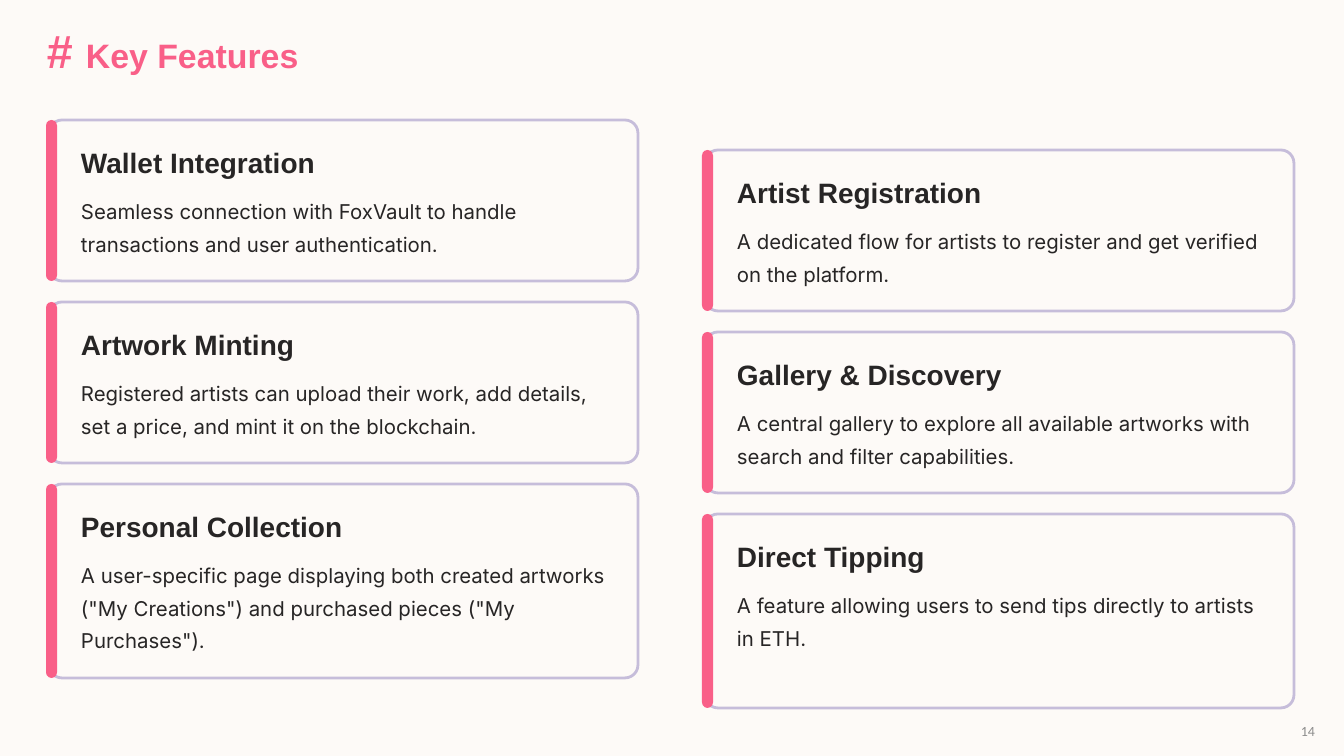
from dataclasses import dataclass

from pptx import Presentation
from pptx.dml.color import RGBColor
from pptx.enum.shapes import MSO_SHAPE
from pptx.enum.text import MSO_ANCHOR, MSO_AUTO_SIZE, PP_ALIGN
from pptx.shapes.autoshape import Shape
from pptx.slide import Slide
from pptx.text.text import TextFrame
from pptx.util import Emu, Pt

PX_PER_INCH = 84


def px(n: int) -> Emu:
    return Emu(round(n * 914400 / PX_PER_INCH))


@dataclass(frozen=True)
class Style:
    font: str
    size: float
    color: RGBColor
    bold: bool = False
    leading: float | None = None
    align: PP_ALIGN = PP_ALIGN.LEFT


@dataclass(frozen=True)
class Theme:
    background: RGBColor = RGBColor.from_string("FDFAF7")
    accent: RGBColor = RGBColor.from_string("F95F88")
    border: RGBColor = RGBColor.from_string("C6BDDA")
    ink: RGBColor = RGBColor.from_string("272525")
    muted: RGBColor = RGBColor.from_string("8C8C8C")
    hash_size: float = 40
    border_width: float = 2.4

    @property
    def title(self) -> Style:
        return Style("Arial", 29, self.accent, True, 36.5)

    @property
    def heading(self) -> Style:
        return Style("Arial", 24, self.ink, True, 30)

    @property
    def body(self) -> Style:
        return Style("Inter", 17.5, self.ink, leading=28)

    @property
    def page(self) -> Style:
        return Style("Calibri", 12, self.muted, align=PP_ALIGN.RIGHT)


@dataclass(frozen=True)
class Box:
    x: int
    y: int
    w: int
    h: int

    def emu(self) -> tuple[Emu, Emu, Emu, Emu]:
        return px(self.x), px(self.y), px(self.w), px(self.h)


@dataclass(frozen=True)
class Feature:
    heading: str
    body: str


@dataclass(frozen=True)
class Column:
    x: int
    y: int
    features: tuple[Feature, ...]


THEME = Theme()
CARD_HEIGHTS = (161, 161, 194)
CARD_GAP = 21
CORNER = 13

COLUMNS = (
    Column(46, 120, (
        Feature("Wallet Integration",
                "Seamless connection with FoxVault to handle transactions and user authentication."),
        Feature("Artwork Minting",
                "Registered artists can upload their work, add details, set a price, "
                "and mint it on the blockchain."),
        Feature("Personal Collection",
                "A user-specific page displaying both created artworks "
                '("My Creations") and purchased pieces ("My Purchases").'),
    )),
    Column(702, 150, (
        Feature("Artist Registration",
                "A dedicated flow for artists to register and get verified on the platform."),
        Feature("Gallery & Discovery",
                "A central gallery to explore all available artworks with search "
                "and filter capabilities."),
        Feature("Direct Tipping",
                "A feature allowing users to send tips directly to artists in ETH."),
    )),
)


def format_text(tf: TextFrame, style: Style, wrap: bool, anchor: MSO_ANCHOR) -> None:
    tf.margin_left = tf.margin_right = tf.margin_top = tf.margin_bottom = 0
    tf.auto_size = MSO_AUTO_SIZE.NONE
    tf.word_wrap = wrap
    tf.vertical_anchor = anchor
    p = tf.paragraphs[0]
    p.alignment = style.align
    if style.leading:
        p.line_spacing = Pt(style.leading)
    p.font.name = style.font
    p.font.size = Pt(style.size)
    p.font.bold = style.bold
    p.font.color.rgb = style.color


def add_text(s: Slide, box: Box, text: str, style: Style, wrap: bool = True,
             anchor: MSO_ANCHOR = MSO_ANCHOR.TOP) -> None:
    tf = s.shapes.add_textbox(*box.emu()).text_frame
    tf.text = text
    format_text(tf, style, wrap, anchor)


def add_rounded(s: Slide, box: Box, radius: float) -> Shape:
    sp = s.shapes.add_shape(MSO_SHAPE.ROUNDED_RECTANGLE, *box.emu())
    sp.adjustments[0] = radius / min(box.w, box.h)
    sp.shadow.inherit = False
    return sp


def add_title(s: Slide) -> None:
    sp = s.shapes.title
    sp.left, sp.top, sp.width, sp.height = Box(47, 35, 342, 43).emu()
    p = sp.text_frame.paragraphs[0]
    r = p.add_run()
    r.text = "# "
    r.font.size = Pt(THEME.hash_size)
    p.add_run().text = "Key Features"
    format_text(sp.text_frame, THEME.title, False, MSO_ANCHOR.TOP)


def add_card(s: Slide, x: int, y: int, h: int, feature: Feature) -> None:
    # Outline
    frame = add_rounded(s, Box(x + 3, y, 589, h), CORNER)
    frame.fill.background()
    frame.line.color.rgb = THEME.border
    frame.line.width = Pt(THEME.border_width)

    # Accent bar
    bar = Box(x, y, 11, h)
    sp = add_rounded(s, bar, bar.w / 2)
    sp.fill.solid()
    sp.fill.fore_color.rgb = THEME.accent
    sp.line.fill.background()

    # Text
    add_text(s, Box(x + 35, y + 24, 285, 35), feature.heading, THEME.heading, wrap=False)
    add_text(s, Box(x + 35, y + 71, 533, h - 95), feature.body, THEME.body)


def main() -> None:
    prs = Presentation()
    prs.slide_width, prs.slide_height = px(1344), px(756)
    s = prs.slides.add_slide(prs.slide_layouts.get_by_name("Title Only"))
    s.background.fill.solid()
    s.background.fill.fore_color.rgb = THEME.background

    add_title(s)

    # Feature cards
    for column in COLUMNS:
        y = column.y
        for feature, h in zip(column.features, CARD_HEIGHTS):
            add_card(s, column.x, y, h, feature)
            y += h + CARD_GAP

    # Page number
    add_text(s, Box(1021, 711, 294, 40), "14", THEME.page, anchor=MSO_ANCHOR.MIDDLE)

    prs.save("out.pptx")


if __name__ == "__main__":
    main()
